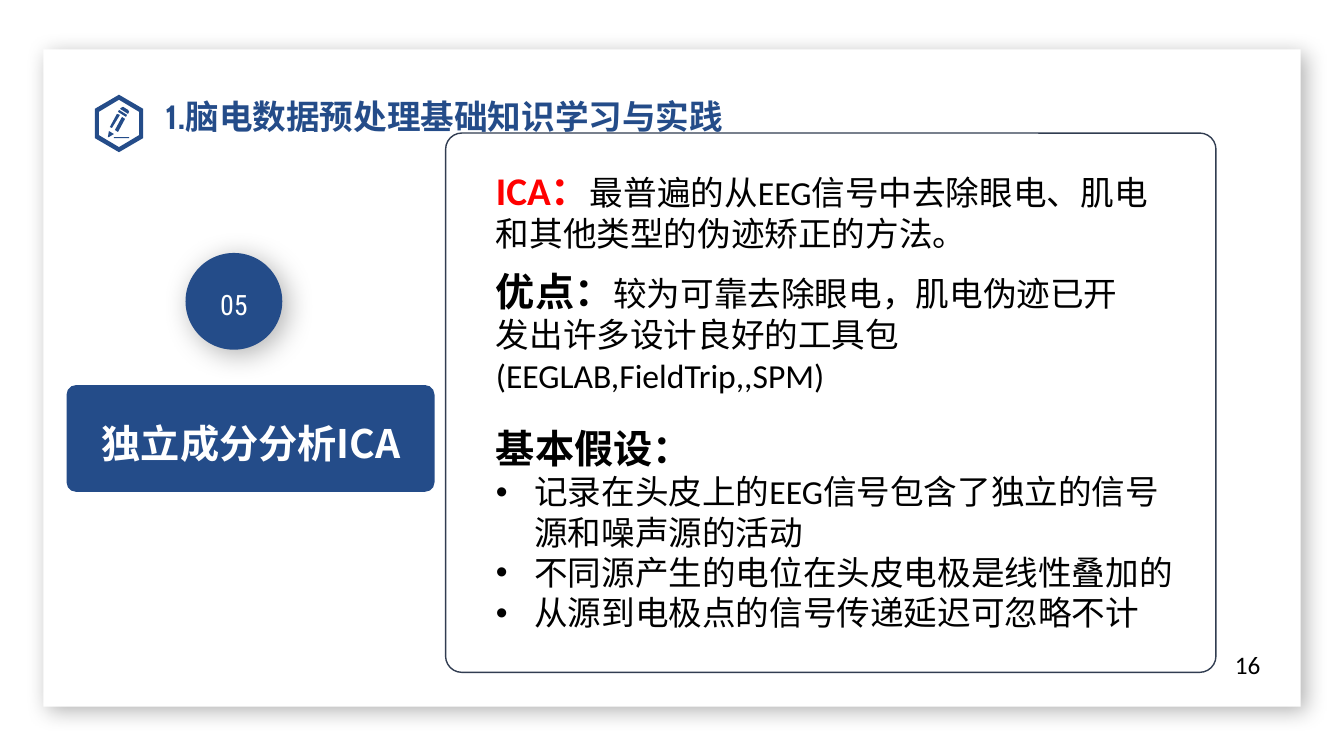
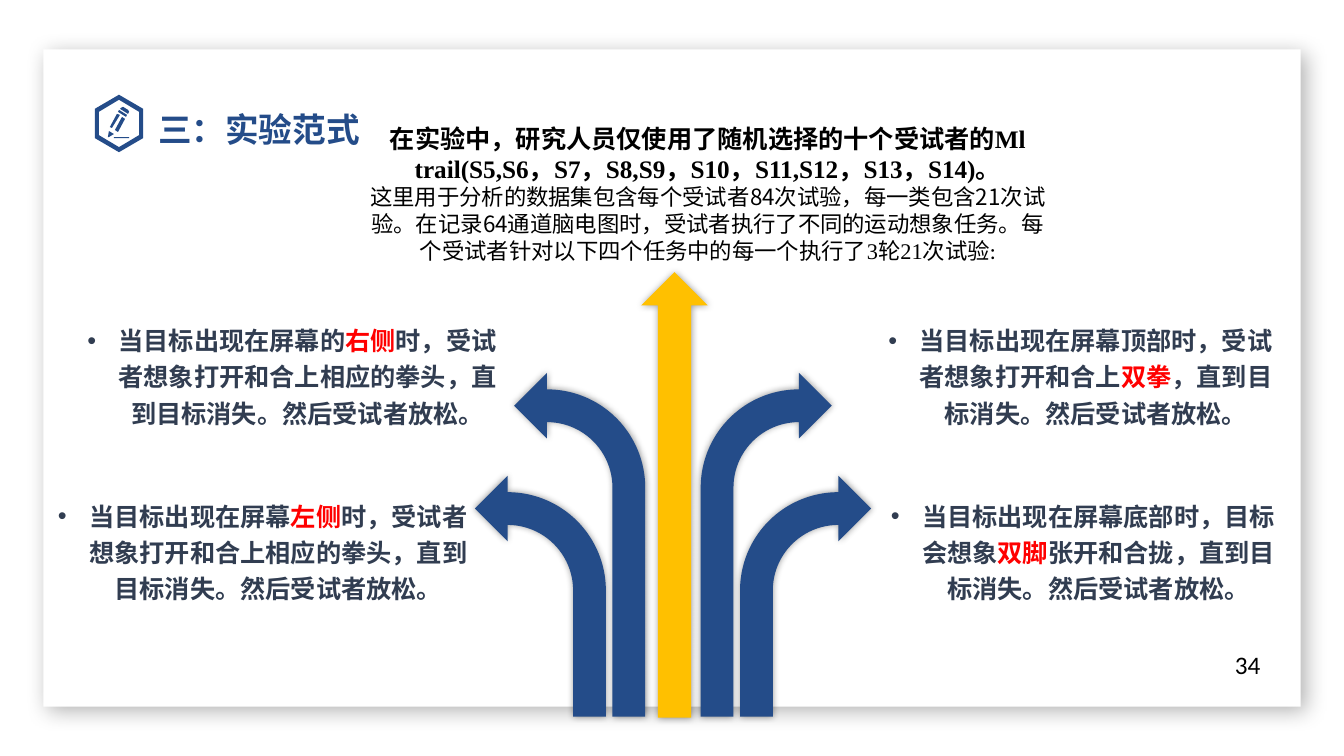
from lxml import etree
from pptx import Presentation
from pptx.dml.color import RGBColor
from pptx.enum.shapes import MSO_SHAPE as SHAPE
from pptx.enum.text import MSO_ANCHOR as ANCHOR, PP_ALIGN as ALIGN
from pptx.oxml.ns import qn
from pptx.util import Inches, Pt

COLORS = {"navy": "244C89", "slate": "313D51", "gold": "FFC000",
          "red": "FF0000", "white": "FFFFFF", "black": "000000"}
CJK = "Noto Sans CJK SC"
LATIN = "Calibri"
SERIF = "Times New Roman"

# Shadows: opacity %, blur pt, distance pt, angle in degrees
PANEL_SHADOW = (30, 15, 5, 45)
BADGE_SHADOW = (30, 20, 5, 45)
ARROW_SHADOW = (40, 5, 0, 0)

# Pencil in a hexagon, in hundredths of an inch
ICON_CONTOURS = [
    [(118, 94), (142, 108), (142, 137), (118, 151), (94, 137), (94, 108)],
    [(118, 99), (138, 111), (138, 134), (118, 146), (98, 134), (98, 111)],
    [(113, 136), (128, 136), (128, 137), (113, 137)],
    [(114, 129), (121, 116), (124, 118), (117, 131)],
    [(109, 126), (116, 113), (119, 114), (111, 127)],
    [(107, 136), (108, 130), (113, 133), (108, 136)],
    [(118, 109), (117, 111), (125, 116), (126, 114)],
    [(120, 107), (122, 106), (127, 109), (128, 111), (127, 113), (119, 108)],
]


def add_shape(slide, preset, box, fill=None, shadow=None, adjust=()):
    """Add a preset shape without outline; box is left, top, width, height in inches."""
    shape = slide.shapes.add_shape(preset, *map(Inches, box))
    for index, value in enumerate(adjust):
        shape.adjustments[index] = value
    if fill:
        shape.fill.solid()
        shape.fill.fore_color.rgb = RGBColor.from_string(COLORS[fill])
    else:
        shape.fill.background()
    shape.line.fill.background()
    shape.shadow.inherit = False
    if shadow:
        opacity, blur, distance, angle = shadow
        effects = shape._element.spPr.find(qn("a:effectLst"))
        outer = etree.SubElement(effects, qn("a:outerShdw"), blurRad=str(Pt(blur)),
                                 dist=str(Pt(distance)), dir=str(angle * 60000),
                                 algn="ctr", rotWithShape="0")
        tint = etree.SubElement(outer, qn("a:srgbClr"), val=COLORS["black"])
        etree.SubElement(tint, qn("a:alpha"), val=str(opacity * 1000))
    return shape


def write(shape, paragraphs, align=ALIGN.LEFT, spacing=None):
    """Fill a shape; a paragraph is (bullet indent, runs), a run (text, size, font, color, bold)."""
    frame = shape.text_frame
    frame.word_wrap = True
    for index, (indent, runs) in enumerate(paragraphs):
        paragraph = frame.add_paragraph() if index else frame.paragraphs[0]
        paragraph.alignment = align
        if spacing:
            paragraph.line_spacing = spacing
        if indent:
            properties = paragraph._p.get_or_add_pPr()
            properties.set("marL", str(Inches(indent)))
            properties.set("indent", str(-Inches(indent)))
            etree.SubElement(properties, qn("a:buFont"), typeface="Arial")
            etree.SubElement(properties, qn("a:buChar"), char="•")
        for text, size, font, color, bold in runs:
            run = paragraph.add_run()
            run.text = text
            run.font.size = Pt(size)
            run.font.bold = bold
            run.font.color.rgb = RGBColor.from_string(COLORS[color])
            run.font.name = font
            etree.SubElement(run._r.get_or_add_rPr(), qn("a:ea"), typeface=CJK)


prs = Presentation()
prs.slide_width, prs.slide_height = Inches(13.33), Inches(7.5)

# Shared frame: panel, icon, title and page number
slides = []
for title, title_box, page in [
    ("1.脑电数据预处理基础知识学习与实践", (1.54, 0.82, 5.82, 0.5), "16"),
    ("三：实验范式", (1.47, 0.95, 4.55, 0.5), "34"),
]:
    slide = prs.slides.add_slide(prs.slide_layouts[6])
    slides.append(slide)
    add_shape(slide, SHAPE.RECTANGLE, (0.43, 0.49, 12.47, 6.52), "white", PANEL_SHADOW)

    builder = slide.shapes.build_freeform(*ICON_CONTOURS[0][0], scale=Inches(0.01))
    for index, (start, *rest) in enumerate(ICON_CONTOURS):
        if index:
            builder.move_to(*start)
        builder.add_line_segments(rest, close=True)
    icon = builder.convert_to_shape()
    icon.fill.solid()
    icon.fill.fore_color.rgb = RGBColor.from_string(COLORS["navy"])
    icon.line.fill.background()
    icon.shadow.inherit = False

    heading = slide.shapes.add_textbox(*map(Inches, title_box))
    write(heading, [(0, [(title, 24, "Cabin", "navy", True)])], spacing=1.2)
    number = slide.shapes.add_textbox(*map(Inches, (12.15, 6.39, 0.59, 0.4)))
    write(number, [(0, [(page, 18, LATIN, "black", False)])])

ica_slide, paradigm_slide = slides

# Independent component analysis
add_shape(ica_slide, SHAPE.ROUNDED_RECTANGLE, (0.66, 3.82, 3.65, 1.06), "navy", adjust=[0.09])
topic = ica_slide.shapes.add_textbox(*map(Inches, (1.01, 4.07, 3.62, 0.52)))
topic.text_frame.margin_left = topic.text_frame.margin_right = 0
topic.text_frame.margin_top = topic.text_frame.margin_bottom = 0
write(topic, [(0, [("独立成分分析ICA", 28, CJK, "white", True)])], spacing=1.2)

outline = add_shape(ica_slide, SHAPE.ROUNDED_RECTANGLE, (4.42, 1.32, 7.64, 5.35), adjust=[0.03])
outline.line.color.rgb = RGBColor.from_string(COLORS["slate"])
outline.line.width = Pt(1)

badge = add_shape(ica_slide, SHAPE.OVAL, (1.84, 2.51, 0.96, 0.96), "navy", BADGE_SHADOW)
badge.text_frame.vertical_anchor = ANCHOR.MIDDLE
write(badge, [(0, [("05", 20, "Roboto Condensed", "white", False)])], ALIGN.CENTER, 1.2)

for box, lead, lead_color, body, assumptions in [
    ((4.82, 1.6, 6.67, 0.98), "ICA：", "red",
     "最普遍的从EEG信号中去除眼电、肌电和其他类型的伪迹矫正的方法。", []),
    ((4.82, 2.6, 6.67, 1.38), "优点：", "black",
     "较为可靠去除眼电，肌电伪迹已开发出许多设计良好的工具包(EEGLAB,FieldTrip,,SPM)", []),
    ((4.82, 4.16, 7.04, 2.19), "基本假设：", "black", "",
     ["记录在头皮上的EEG信号包含了独立的信号源和噪声源的活动",
      "不同源产生的电位在头皮电极是线性叠加的",
      "从源到电极点的信号传递延迟可忽略不计"]),
]:
    runs = [(lead, 28, LATIN, lead_color, True)]
    if body:
        runs.append((body, 24, LATIN, "black", False))
    bullets = [(0.38, [(text, 24, LATIN, "black", False)]) for text in assumptions]
    write(ica_slide.shapes.add_textbox(*map(Inches, box)), [(0, runs)] + bullets)

# Experimental paradigm: two mirrored pairs of arrows around the central one
MIRROR = 13.35
ARROW_WIDTH = 1.3
for left, top, height in [(6.95, 3.7, 3.41), (7.34, 4.72, 2.39)]:
    for flipped in (False, True):
        x = MIRROR - left - ARROW_WIDTH if flipped else left
        branch = add_shape(paradigm_slide, SHAPE.BENT_ARROW, (x, top, ARROW_WIDTH, height),
                           "navy", ARROW_SHADOW, [0.25, 0.25, 0.25, 0.75])
        if flipped:
            branch._element.spPr.xfrm.set("flipH", "1")
add_shape(paradigm_slide, SHAPE.UP_ARROW, (6.36, 2.7, 0.66, 4.42), "gold", ARROW_SHADOW)

for left, top, width, before, target, after in [
    (0.43, 4.86, 4.35, "当目标出现在屏幕", "左侧",
     "时，受试者想象打开和合上相应的拳头，直到目标消失。然后受试者放松。"),
    (0.72, 3.12, 4.35, "当目标出现在屏幕的", "右侧",
     "时，受试者想象打开和合上相应的拳头，直到目标消失。然后受试者放松。"),
    (8.63, 3.12, 4.17, "当目标出现在屏幕顶部时，受试者想象打开和合上", "双拳",
     "，直到目标消失。然后受试者放松。"),
    (8.68, 4.86, 4.12, "当目标出现在屏幕底部时，目标会想象", "双脚",
     "张开和合拢，直到目标消失。然后受试者放松。"),
]:
    task = paradigm_slide.shapes.add_textbox(*map(Inches, (left, top, width, 1.16)))
    runs = [(text, 18, CJK, color, True)
            for text, color in [(before, "slate"), (target, "red"), (after, "slate")]]
    write(task, [(0.31, runs)], ALIGN.CENTER, 1.2)

intro = paradigm_slide.shapes.add_textbox(*map(Inches, (3.51, 1.17, 7.02, 1.88)))
subjects = ("在实验中，研究人员仅使用了随机选择的十个受试者的Ml "
            "trail(S5,S6，S7，S8,S9，S10，S11,S12，S13，S14)。")
trials = [
    ("这里用于分析的数据集包含每个受试者84次试验，每一类包含21次试验。"
     "在记录64通道脑电图时，受试者执行了不同的运动想象任务。", CJK),
    ("每个受试者针对以下四个任务中的每一个执行了", LATIN),
    ("3", SERIF), ("轮", LATIN), ("21", SERIF), ("次试验:", LATIN),
]
write(intro, [(0, [(subjects, 18, SERIF, "black", True)]),
              (0, [(text, 16, font, "black", False) for text, font in trials])], ALIGN.CENTER)

prs.save("out.pptx")
